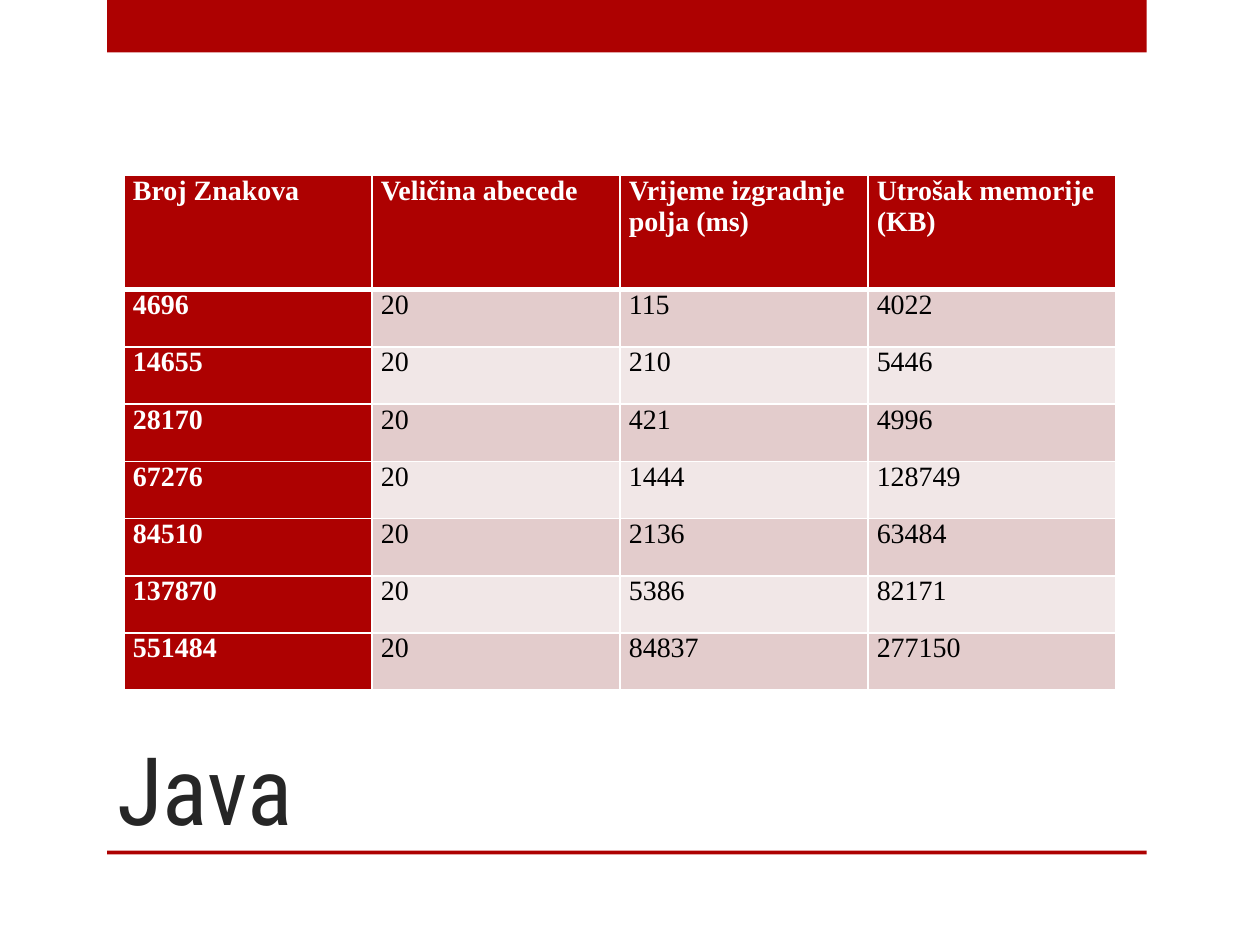
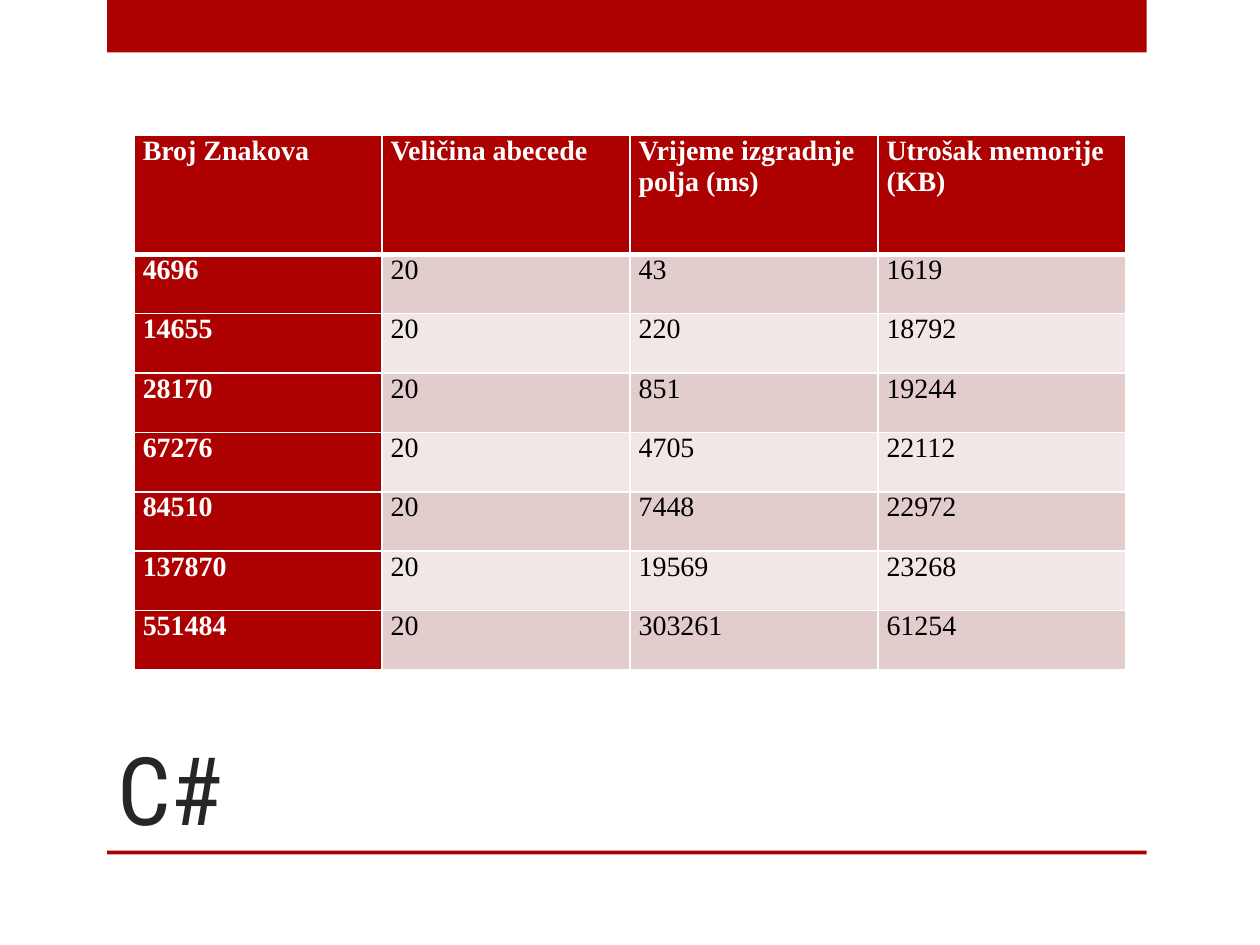
from lxml.etree import SubElement
from pptx import Presentation
from pptx.dml.color import RGBColor
from pptx.enum.shapes import MSO_SHAPE
from pptx.enum.text import MSO_ANCHOR, MSO_AUTO_SIZE, PP_ALIGN
from pptx.oxml.ns import qn
from pptx.util import Pt

RED, WHITE, BLACK, CHARCOAL = "AD0101", "FFFFFF", "000000", "262626"
ROW_TINTS = ["E3CCCC", "F1E7E7"]
TITLE_FONT, TABLE_FONT = "Roboto Condensed", "Times New Roman"

# Boxes are (left, top, width, height) in points.
TOP_BAND = (61.2, 0, 594, 30)
TITLE_RULE = (61.2, 486, 594, 2.3)
TITLE_BOX = (59.7, 360, 534, 126)

HEADERS = ["Broj Znakova", "Veličina abecede",
           "Vrijeme izgradnje polja (ms)", "Utrošak memorije (KB)"]
CHARACTER_COUNTS = [4696, 14655, 28170, 67276, 84510, 137870, 551484]
ALPHABET_SIZE = 20

# Title, table box, build times (ms), memory use (KB)
PAGES = [
    ("Java", (71, 100.2, 566.8, 294.3),
     [115, 210, 421, 1444, 2136, 5386, 84837],
     [4022, 5446, 4996, 128749, 63484, 82171, 277150]),
    ("C#", (76.6, 77.4, 566.8, 305.6),
     [43, 220, 851, 4705, 7448, 19569, 303261],
     [1619, 18792, 19244, 22112, 22972, 23268, 61254]),
]


def color(hex_text):
    """Turn a hex string into a colour."""
    return RGBColor.from_string(hex_text)


def points(box):
    """Turn a box of numbers into lengths in points."""
    return [Pt(value) for value in box]


def add_span(para, text, font, size, hex_text, bold=False):
    """Add one formatted run to a paragraph."""
    span = para.add_run()
    span.text = text
    span.font.name = font
    span.font.size = Pt(size)
    span.font.bold = bold
    span.font.color.rgb = color(hex_text)


def add_band(page, box):
    """Draw a plain red bar."""
    band = page.shapes.add_shape(MSO_SHAPE.RECTANGLE, *points(box))
    band.shadow.inherit = False
    band.fill.solid()
    band.fill.fore_color.rgb = color(RED)
    band.line.fill.background()


def place_title(page, box, text):
    """Move the title placeholder to its box and fill it."""
    title = page.shapes.title
    title.left, title.top, title.width, title.height = points(box)
    frame = title.text_frame
    frame.vertical_anchor = MSO_ANCHOR.BOTTOM
    frame.auto_size = MSO_AUTO_SIZE.NONE
    para = frame.paragraphs[0]
    para.alignment = PP_ALIGN.LEFT
    add_span(para, text, TITLE_FONT, 54, CHARCOAL)


def set_borders(cell, top, bottom):
    """Give a cell white borders, 1 pt wide at the sides."""
    properties = cell._tc.get_or_add_tcPr()
    for side, width in (("L", 1), ("R", 1), ("T", top), ("B", bottom)):
        line = SubElement(properties, qn(f"a:ln{side}"), w=str(Pt(width)))
        fill = SubElement(line, qn("a:solidFill"))
        SubElement(fill, qn("a:srgbClr"), val=WHITE)


def fill_cell(cell, text, row, column):
    """Format a cell by its place: header row, first column or body."""
    strong = row == 0 or column == 0
    set_borders(cell, top=3 if row == 1 else 1, bottom=3 if row == 0 else 1)
    cell.fill.solid()
    cell.fill.fore_color.rgb = color(RED if strong else ROW_TINTS[(row - 1) % 2])
    cell.margin_left = cell.margin_right = Pt(5)
    cell.margin_top = cell.margin_bottom = Pt(0)
    para = cell.text_frame.paragraphs[0]
    para.space_before = para.space_after = Pt(6)
    add_span(para, text, TABLE_FONT, 16, WHITE if strong else BLACK, strong)


def add_results(page, box, records):
    """Add a table with equal columns and a header two rows high."""
    table = page.shapes.add_table(
        len(records), len(HEADERS), *points(box)).table
    unit = box[3] / (len(records) + 1)
    for column in table.columns:
        column.width = Pt(box[2] / len(HEADERS))
    for row, record in enumerate(records):
        table.rows[row].height = Pt(unit * (2 if row == 0 else 1))
        for column, value in enumerate(record):
            fill_cell(table.cell(row, column), str(value), row, column)


def add_page(deck, title, table_box, times, memory):
    """Build one page of measurements for a programming language."""
    page = deck.slides.add_slide(deck.slide_layouts[5])
    add_band(page, TOP_BAND)
    add_band(page, TITLE_RULE)
    place_title(page, TITLE_BOX, title)
    sizes = [ALPHABET_SIZE] * len(CHARACTER_COUNTS)
    add_results(page, table_box,
                [HEADERS, *zip(CHARACTER_COUNTS, sizes, times, memory)])


deck = Presentation()
deck.slide_width, deck.slide_height = Pt(720), Pt(540)
for content in PAGES:
    add_page(deck, *content)
deck.save("out.pptx")
